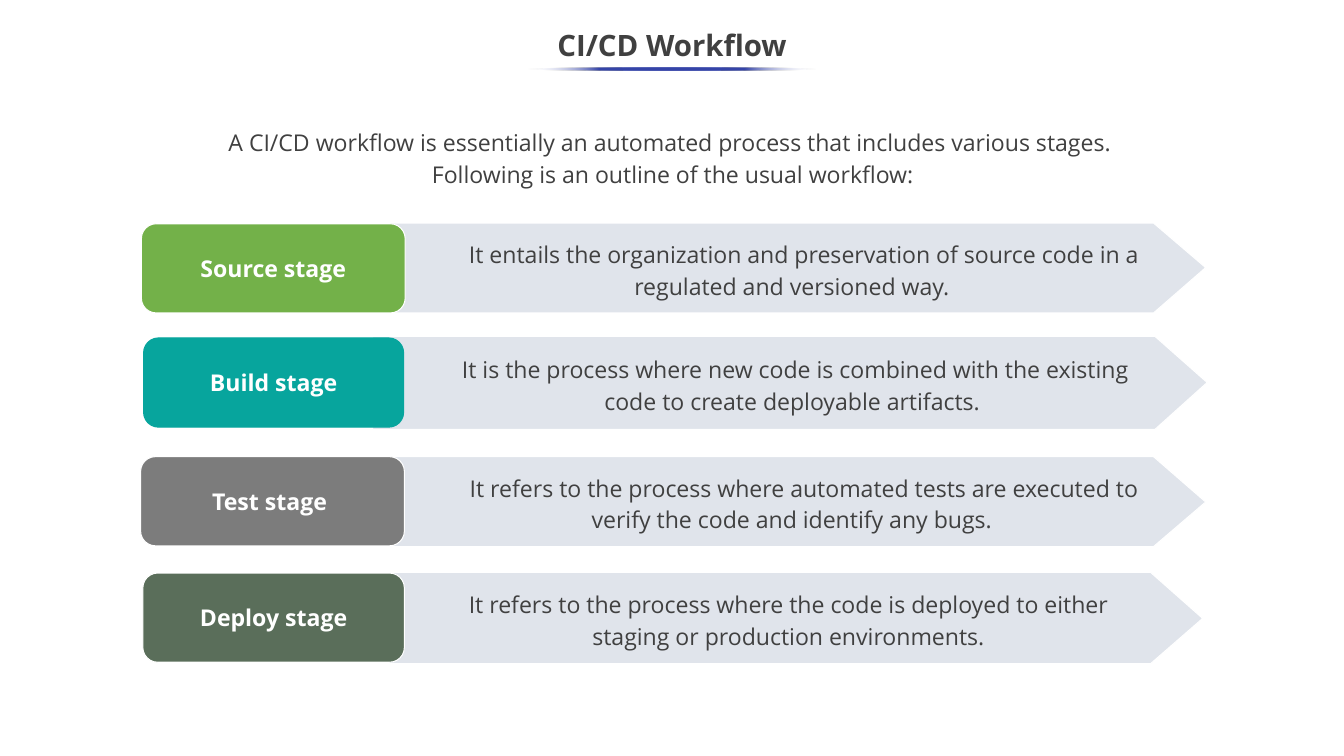
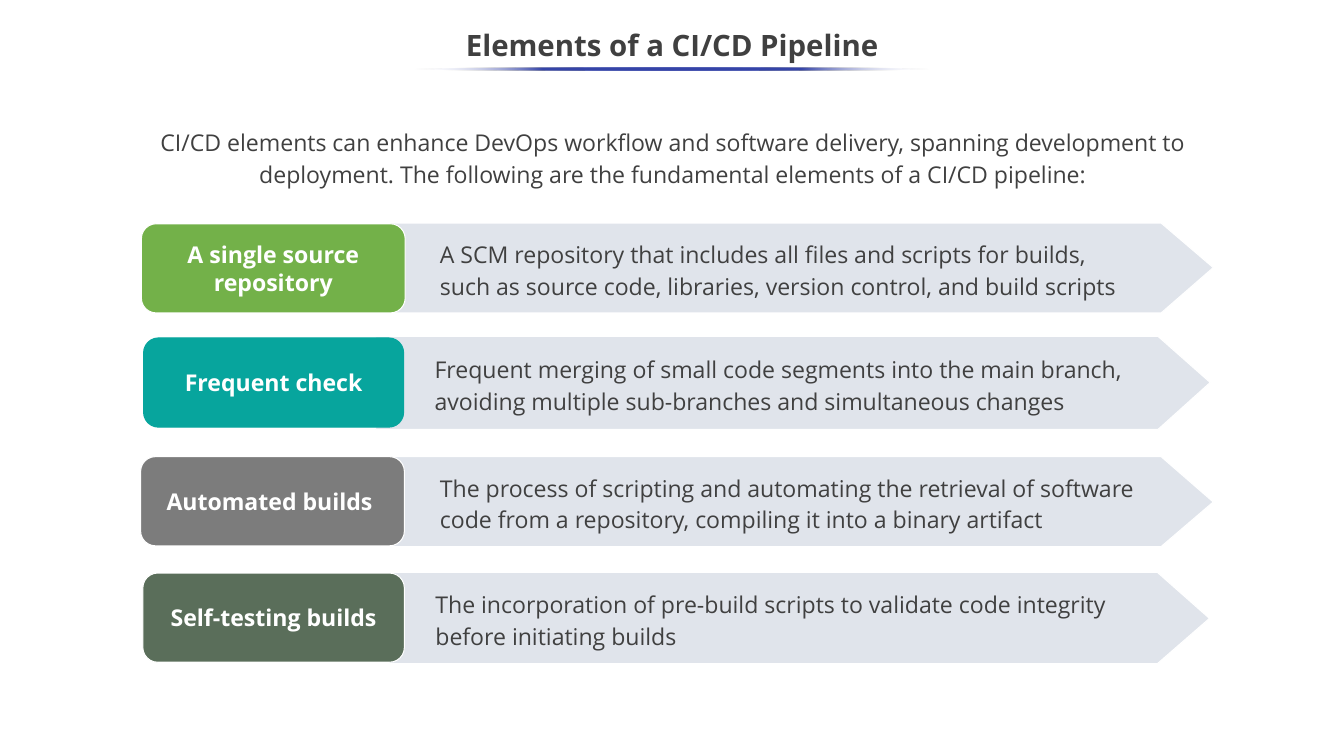
import collections

import lxml.etree
import pptx
import pptx.dml.color
import pptx.enum.shapes
import pptx.enum.text
import pptx.oxml.ns
import pptx.util

PX = 9144  # EMU in one px, at 100 px to the inch
FONT = "Open Sans"
INK, WHITE, ACCENT, BAND = "404040", "FFFFFF", "3645A9", "8497B0"
BAND_ALPHA = 25000
ARROW_HEAD = 69
TITLE_ONLY = 5

Box = collections.namedtuple("Box", "left top width height")
Row = collections.namedtuple("Row", "color line tab arrow")
Stage = collections.namedtuple("Stage", "label lines shift indent", defaults=(0, 0))

HEADER = Box(-1, 25, 1780, 75)
INTRO = Box(141, 165, 1498, 99)
FLOW = Box(186, 295, 1419, 583)
# Tab and arrow boxes are measured from the corner of FLOW.
ROWS = [
    Row("73B149", WHITE, Box(1, 1, 349, 118), Box(308, 0, 1101, 119)),
    Row("07A59D", "07A59D", Box(4, 152, 344, 118), Box(307, 150, 1104, 123)),
    Row("7C7C7C", WHITE, Box(0, 309, 349, 118), Box(308, 309, 1101, 119)),
    Row("5A6E5A", WHITE, Box(3, 463, 346, 118), Box(303, 462, 1102, 121)),
]
CENTER = pptx.enum.text.PP_ALIGN.CENTER
LEFT = pptx.enum.text.PP_ALIGN.LEFT


def px(length):
    return pptx.util.Emu(length * PX)


def rgb(code):
    return pptx.dml.color.RGBColor.from_string(code)


def within(parent, child):
    return Box(parent.left + child.left, parent.top + child.top, child.width, child.height)


def emu(box):
    return [px(length) for length in box]


def set_frame(frame, insets, anchor):
    frame.word_wrap = True
    frame.auto_size = pptx.enum.text.MSO_AUTO_SIZE.NONE
    frame.vertical_anchor = anchor
    frame.margin_left, frame.margin_top, frame.margin_right, frame.margin_bottom = map(px, insets)


def write(para, lines, size=22, color=INK, bold=False, align=CENTER, spacing=1.0):
    """Fill a paragraph with one run per line, joined by line breaks."""
    para.alignment = align
    para.line_spacing = spacing
    for number, line in enumerate(lines):
        if number:
            para.add_line_break()
        span = para.add_run()
        span.text = line
        span.font.name = FONT
        span.font.size = pptx.util.Pt(size)
        span.font.bold = bold
        span.font.color.rgb = rgb(color)


def paint(shape, fill, line):
    shape.shadow.inherit = False
    shape.fill.solid()
    shape.fill.fore_color.rgb = rgb(fill)
    shape.line.color.rgb = rgb(line)
    shape.line.width = pptx.util.Pt(1)


def add_alpha(color_element, alpha):
    lxml.etree.SubElement(color_element, pptx.oxml.ns.qn("a:alpha")).set("val", str(alpha))


def fade_ends(shape):
    """Fill a shape with the accent colour, fading out at both ends."""
    shape.fill.gradient()
    shape.fill.gradient_angle = 180
    stops = shape._element.spPr.find(".//" + pptx.oxml.ns.qn("a:gsLst"))
    for stop in list(stops):
        stops.remove(stop)
    for place, color in [(0, WHITE), (25, ACCENT), (50, ACCENT), (75, ACCENT), (100, WHITE)]:
        stop = lxml.etree.SubElement(stops, pptx.oxml.ns.qn("a:gs"), pos=str(place * 1000))
        code = lxml.etree.SubElement(stop, pptx.oxml.ns.qn("a:srgbClr"), val=color)
        if color == WHITE:
            add_alpha(code, 0)


def add_header(page, box, text, rule_width):
    title = page.shapes.title
    title.left, title.top, title.width, title.height = emu(box)
    set_frame(title.text_frame, (10, 5, 10, 5), pptx.enum.text.MSO_ANCHOR.MIDDLE)
    write(title.text_frame.paragraphs[0], [text], size=28, bold=True, spacing=0.9)
    rule_box = within(box, Box((box.width - rule_width) // 2, 64, rule_width, 4))
    rule = page.shapes.add_shape(pptx.enum.shapes.MSO_SHAPE.OVAL, *emu(rule_box))
    rule.shadow.inherit = False
    rule.line.fill.background()
    fade_ends(rule)


def add_intro(page, box, paragraphs):
    frame = page.shapes.add_textbox(*emu(box)).text_frame
    set_frame(frame, (10, 0, 10, 0), pptx.enum.text.MSO_ANCHOR.TOP)
    for number, text in enumerate(paragraphs):
        para = frame.add_paragraph() if number else frame.paragraphs[0]
        write(para, [text], spacing=1.15)


def add_arrow(page, box, stage, align):
    right, bottom = box.left + box.width, box.top + box.height
    neck = right - ARROW_HEAD
    outline = page.shapes.build_freeform(box.left, box.top, scale=PX)
    outline.add_line_segments(
        [(neck, box.top), (right, box.top + box.height / 2), (neck, bottom), (box.left, bottom)])
    arrow = outline.convert_to_shape()
    paint(arrow, BAND, WHITE)
    fill = arrow._element.spPr.find(pptx.oxml.ns.qn("a:solidFill"))
    add_alpha(fill[0], BAND_ALPHA)
    set_frame(arrow.text_frame, (78, 3, 72, 3), pptx.enum.text.MSO_ANCHOR.MIDDLE)
    para = arrow.text_frame.paragraphs[0]
    write(para, stage.lines, align=align, spacing=1.15)
    if stage.indent:
        para._p.get_or_add_pPr().set("indent", str(px(stage.indent)))


def add_tab(page, box, row, label):
    tab = page.shapes.add_shape(pptx.enum.shapes.MSO_SHAPE.ROUNDED_RECTANGLE, *emu(box))
    paint(tab, row.color, row.line)
    set_frame(tab.text_frame, (10, 5, 10, 5), pptx.enum.text.MSO_ANCHOR.MIDDLE)
    write(tab.text_frame.paragraphs[0], [label], color=WHITE, bold=True)


def add_flow(page, box, stages, align):
    for row, stage in zip(ROWS, stages):
        arrow_box = within(box, row.arrow)
        add_arrow(page, arrow_box._replace(left=arrow_box.left + stage.shift), stage, align)
        add_tab(page, within(box, row.tab), row, stage.label)


def add_flow_page(deck, title, rule_width, intro, stages, align):
    page = deck.slides.add_slide(deck.slide_layouts[TITLE_ONLY])
    add_header(page, HEADER, title, rule_width)
    add_intro(page, INTRO, intro)
    add_flow(page, FLOW, stages, align)


def main():
    deck = pptx.Presentation()
    deck.slide_width, deck.slide_height = px(1778), px(1000)
    add_flow_page(
        deck, "CI/CD Workflow", 382,
        ["A CI/CD workflow is essentially an automated process that includes various stages. ",
         "Following is an outline of the usual workflow:"],
        [Stage("Source stage",
               ["It entails the organization and preservation of source code in a regulated "
                "and versioned way."], indent=32),
         Stage("Build stage",
               ["It is the process where new code is combined with the existing code to create "
                "deployable artifacts."], indent=8),
         Stage("Test stage ",
               ["It refers to the process where automated tests are executed to verify the code "
                "and identify any bugs."], indent=32),
         Stage("Deploy stage",
               ["It refers to the process where the code is deployed to either staging or "
                "production environments."])],
        CENTER)
    add_flow_page(
        deck, "Elements of a CI/CD Pipeline", 682,
        ["CI/CD elements can enhance DevOps workflow and software delivery, spanning development "
         "to deployment. The following are the fundamental elements of a CI/CD pipeline:"],
        [Stage("A single source repository",
               ["A SCM repository that includes all files and scripts for builds,",
                "such as source code, libraries, version control, and build scripts"], shift=10),
         Stage("Frequent check",
               ["Frequent merging of small code segments into the main branch, avoiding multiple "
                "sub-branches and simultaneous changes"], shift=4),
         Stage("Automated builds ",
               ["The process of scripting and automating the retrieval of software code from a "
                "repository, compiling it into a binary artifact"], shift=10),
         Stage("Self-testing builds",
               ["The incorporation of pre-build scripts to validate code integrity before "
                "initiating builds"], shift=9)],
        LEFT)
    deck.save("out.pptx")


if __name__ == "__main__":
    main()
